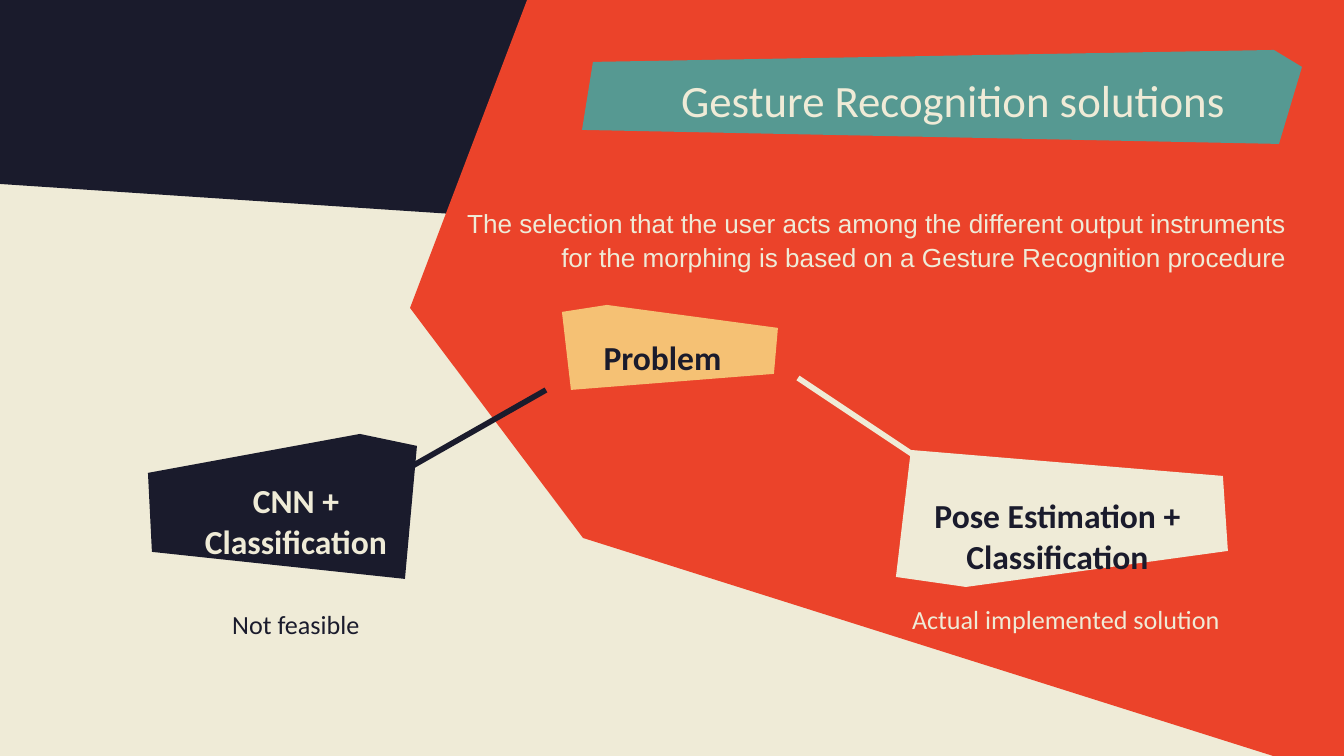
from lxml import etree
from pptx import Presentation
from pptx import util as u
from pptx.dml.color import RGBColor
from pptx.enum import shapes, text
from pptx.oxml import ns

PX = 914400 / 134.4  # EMU per px
WIDTH, HEIGHT = 1344, 756

CREAM = RGBColor(0xEF, 0xEB, 0xD7)
NAVY = RGBColor(0x1A, 0x1B, 0x2C)
RED = RGBColor(0xEB, 0x43, 0x2A)
TEAL = RGBColor(0x56, 0x99, 0x92)
YELLOW = RGBColor(0xF5, 0xC1, 0x74)

LEFT, CENTER, RIGHT = text.PP_ALIGN.LEFT, text.PP_ALIGN.CENTER, text.PP_ALIGN.RIGHT

# (fill, corner points in px), from back to front
POLYGONS = [
    (NAVY, [(871, -9), (769, 235), (-15, 183), (-11, -11)]),
    (RED, [(1359, -8), (1363, 762), (1289, 761), (583, 538), (410, 308), (532, -13)]),
    (NAVY, [(148, 473), (152, 552), (405, 579), (417, 446), (360, 434)]),
    (TEAL, [(1274, 50), (1302, 67), (1279, 144), (582, 130), (593, 62)]),
    (CREAM, [(1228, 551), (1223, 476), (911, 450), (896, 577), (966, 587)]),
    (YELLOW, [(778, 328), (774, 374), (571, 390), (562, 312), (607, 305)]),
]

TITLE = ("Gesture Recognition solutions", (109, 59, 1129, 85), CREAM)
INTRO = (
    "The selection that the user acts among the different output instruments "
    "for the morphing is based on a Gesture Recognition procedure",
    (439, 192, 861, 220), CREAM,
)
# (words, box in px, colour)
LABELS = [
    ("CNN + Classification", (156, 474, 280, 66), CREAM),
    ("Pose Estimation + Classification", (911, 487, 293, 70), NAVY),
    ("Problem", (573, 309, 179, 70), NAVY),
]
CAPTIONS = [
    ("Not feasible", (97, 595, 398, 112), NAVY),
    ("Actual implemented solution", (867, 590, 398, 112), CREAM),
]
# (from, to, colour, end that carries the oval)
BRANCHES = [
    ((379, 485), (546, 390), NAVY, "headEnd"),
    ((798, 378), (942, 474), CREAM, "tailEnd"),
]


def px(*lengths):
    return [u.Emu(round(n * PX)) for n in lengths]


def add_polygon(slide, fill, points):
    builder = slide.shapes.build_freeform(*points[0], scale=PX)
    builder.add_line_segments(points[1:], close=True)
    polygon = builder.convert_to_shape()
    polygon.shadow.inherit = False
    polygon.fill.solid()
    polygon.fill.fore_color.rgb = fill
    polygon.line.fill.background()


def write(shape, words, box, color, size, align, font="Calibri", bold=False,
          anchor=text.MSO_ANCHOR.TOP, top=0.1, bottom=0.1, spacing=1.0):
    """Place a text-holding shape and fill it with one formatted run."""
    shape.left, shape.top, shape.width, shape.height = px(*box)
    frame = shape.text_frame
    frame.word_wrap = True
    frame.auto_size = text.MSO_AUTO_SIZE.NONE
    frame.vertical_anchor = anchor
    frame.margin_left = frame.margin_right = u.Inches(0.1)
    frame.margin_top, frame.margin_bottom = u.Inches(top), u.Inches(bottom)
    paragraph = frame.paragraphs[0]
    paragraph.alignment = align
    paragraph.line_spacing = spacing
    paragraph.space_before = u.Pt(0)
    run = paragraph.add_run()
    run.text = words
    run.font.name = font
    run.font.size = u.Pt(size)
    run.font.bold = bold
    run.font.color.rgb = color


def add_text(slide, words, box, color, **style):
    write(slide.shapes.add_textbox(*px(*box)), words, box, color, **style)


def add_branch(slide, start, end, color, oval_end):
    branch = slide.shapes.add_connector(
        shapes.MSO_CONNECTOR.STRAIGHT, *px(*start, *end))
    branch.line.color.rgb = color
    branch.line.width = u.Pt(3)
    line = branch.line._get_or_add_ln()
    etree.SubElement(line, ns.qn("a:" + oval_end), type="oval")
    etree.SubElement(branch._element.spPr, ns.qn("a:effectLst"))


def main():
    deck = Presentation()
    deck.slide_width, deck.slide_height = px(WIDTH, HEIGHT)
    slide = deck.slides.add_slide(deck.slide_layouts[5])
    slide.background.fill.solid()
    slide.background.fill.fore_color.rgb = CREAM

    for fill, points in POLYGONS:
        add_polygon(slide, fill, points)

    title = slide.shapes.title
    write(title, *TITLE, size=24, align=RIGHT)
    slide.shapes._spTree.append(title._element)  # in front of its banner

    for caption in CAPTIONS:
        add_text(slide, *caption, size=14, align=CENTER)
    for label in LABELS:
        add_text(slide, *label, size=18, align=CENTER, bold=True,
                 anchor=text.MSO_ANCHOR.MIDDLE, top=0.2, bottom=0)
    for branch in BRANCHES:
        add_branch(slide, *branch)
    add_text(slide, *INTRO, size=14, align=RIGHT, font="Arial", spacing=1.07)

    deck.save("out.pptx")


if __name__ == "__main__":
    main()
